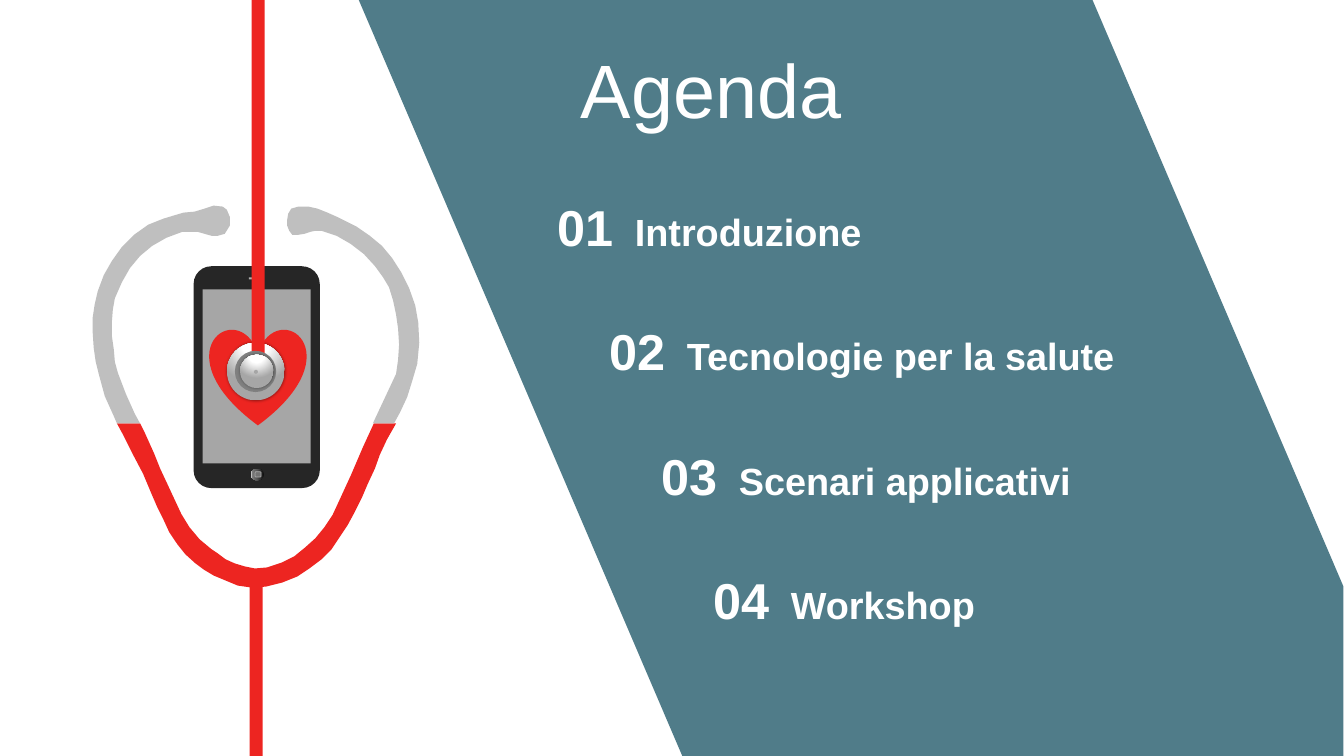
from lxml import etree
from pptx import Presentation
from pptx.dml.color import RGBColor
from pptx.enum.shapes import MSO_SHAPE
from pptx.enum.text import MSO_ANCHOR, MSO_AUTO_SIZE, PP_ALIGN
from pptx.oxml import parse_xml
from pptx.oxml.ns import nsdecls, qn
from pptx.util import Cm, Pt

RECT = MSO_SHAPE.RECTANGLE
ROUNDED = MSO_SHAPE.ROUNDED_RECTANGLE
ELLIPSE = MSO_SHAPE.OVAL
HEART = MSO_SHAPE.HEART
TOP, MIDDLE = MSO_ANCHOR.TOP, MSO_ANCHOR.MIDDLE
LEFT = PP_ALIGN.LEFT
NO_FIT = MSO_AUTO_SIZE.NONE

WHITE = RGBColor(0xFF, 0xFF, 0xFF)
BLACK = RGBColor(0x00, 0x00, 0x00)
TEAL = RGBColor(0x50, 0x7C, 0x89)
RED = RGBColor(0xED, 0x25, 0x21)
CASE = RGBColor(0x26, 0x26, 0x26)
COAL = RGBColor(0x0F, 0x0F, 0x0F)
DARK_GREY = RGBColor(0x59, 0x59, 0x59)
ICON_GREY = RGBColor(0x73, 0x73, 0x73)
RING_GREY = RGBColor(0x80, 0x80, 0x80)
SCREEN_GREY = RGBColor(0xA6, 0xA6, 0xA6)
SPEAKER_GREY = RGBColor(0xB0, 0xB0, 0xB0)
TUBE_GREY = RGBColor(0xBF, 0xBF, 0xBF)

FONT = "Arial"
OUTLINE_SCALE = Cm(2.54) / 100
AGENDA = ["Introduzione", "Tecnologie per la salute", "Scenari applicativi", "Workshop"]
INDENT_STEP = 1.31
NUMBER_WIDTH = 1.96

BAND = [(356, 0), (1084, 0), (1333, 582), (1333, 750), (677, 750)]
RED_TUBE = [
    (116, 420), (139, 420), (144, 430), (153, 450), (159, 465), (166, 480),
    (173, 495), (180, 510), (188, 523), (198, 535), (210, 545), (216, 549),
    (224, 555), (233, 559), (243, 562), (253, 564), (265, 563), (280, 558),
    (292, 552), (303, 543), (313, 534), (322, 523), (330, 511), (336, 498),
    (342, 485), (348, 472), (354, 458), (360, 444), (371, 420), (393, 420),
    (392, 422), (384, 436), (377, 451), (372, 465), (365, 480), (359, 494),
    (352, 508), (345, 521), (337, 533), (329, 545), (319, 555), (307, 564),
    (295, 572), (280, 578), (264, 582), (250, 583), (236, 581), (224, 576),
    (212, 571), (202, 565), (194, 559), (184, 550), (176, 540), (168, 528),
    (162, 515), (156, 503), (150, 489), (142, 470), (132, 451), (122, 431),
]
RIGHT_EARPIECE = [
    (296, 205), (306, 205), (315, 207), (325, 211), (334, 215), (342, 219),
    (354, 225), (367, 234), (379, 244), (389, 256), (398, 270), (406, 286),
    (412, 303), (415, 320), (416, 340), (414, 361), (409, 378), (404, 394),
    (397, 409), (391, 420), (370, 420), (393, 371), (395, 357), (396, 342),
    (395, 326), (393, 312), (390, 298), (386, 285), (380, 275), (372, 264),
    (361, 252), (348, 242), (334, 234), (319, 229), (313, 229), (308, 230),
    (302, 232), (296, 233), (290, 233), (287, 229), (285, 224), (285, 218),
    (286, 212), (289, 207),
]
LEFT_EARPIECE = [
    (212, 204), (221, 205), (225, 208), (228, 215), (228, 224), (223, 232),
    (216, 234), (210, 234), (203, 232), (196, 230), (189, 230), (181, 230),
    (165, 236), (151, 244), (139, 254), (129, 266), (121, 280), (114, 296),
    (112, 307), (111, 320), (111, 333), (113, 347), (114, 359), (117, 370),
    (125, 391), (134, 411), (139, 420), (116, 420), (113, 413), (104, 393),
    (98, 371), (95, 359), (93, 345), (92, 330), (92, 315), (94, 302),
    (97, 289), (103, 273), (111, 259), (121, 245), (133, 233), (147, 223),
    (162, 217), (172, 214), (182, 211), (193, 210), (203, 207),
]


def paint(shape, color):
    shape.shadow.inherit = False
    shape.fill.solid()
    shape.fill.fore_color.rgb = color
    shape.line.fill.background()
    return shape


def add_part(slide, kind, left, top, width, height, color):
    part = slide.shapes.add_shape(kind, Cm(left), Cm(top), Cm(width), Cm(height))
    return paint(part, color)


def add_outline(slide, color, *contours):
    first, *others = contours
    builder = slide.shapes.build_freeform(*first[0], scale=OUTLINE_SCALE)
    builder.add_line_segments(first[1:], close=True)
    for contour in others:
        builder.move_to(*contour[0])
        builder.add_line_segments(contour[1:], close=True)
    return paint(builder.convert_to_shape(), color)


def set_gradient(shape, stops, direction):
    stop_xml = "".join(
        f'<a:gs pos="{position * 1000}"><a:srgbClr val="{color}"/></a:gs>'
        for position, color in stops
    )
    properties = shape.element.spPr
    gradient = parse_xml(
        f'<a:gradFill {nsdecls("a")} rotWithShape="1">'
        f"<a:gsLst>{stop_xml}</a:gsLst>{direction}</a:gradFill>"
    )
    properties.replace(properties.find(qn("a:solidFill")), gradient)


def add_metal_disc(slide, left, top, size):
    disc = add_part(slide, ELLIPSE, left, top, size, size, WHITE)
    set_gradient(
        disc,
        [(0, WHITE), (35, WHITE), (100, SCREEN_GREY)],
        '<a:path path="circle"><a:fillToRect l="50000" t="-80000" r="50000" b="180000"/></a:path>',
    )
    effects = disc.element.spPr.find(qn("a:effectLst"))
    effects.append(parse_xml(
        f'<a:outerShdw {nsdecls("a")} blurRad="{Pt(2)}" dist="0" dir="0">'
        f'<a:srgbClr val="{BLACK}"><a:alpha val="40000"/></a:srgbClr></a:outerShdw>'
    ))


def add_phone(slide):
    case = add_part(slide, ROUNDED, 4.88, 6.71, 3.18, 5.59, CASE)
    case.adjustments[0] = 0.14
    add_part(slide, RECT, 6.27, 6.99, 0.33, 0.05, SPEAKER_GREY)
    home_button = add_part(slide, ELLIPSE, 6.32, 11.81, 0.33, 0.3, DARK_GREY)
    set_gradient(
        home_button,
        [(0, COAL), (56, DARK_GREY), (91, RING_GREY), (100, TUBE_GREY)],
        '<a:lin ang="10800000" scaled="0"/>',
    )
    home_icon = add_part(slide, ROUNDED, 6.43, 11.89, 0.15, 0.13, ICON_GREY)
    home_icon.line.color.rgb = SPEAKER_GREY
    home_icon.line.width = Pt(0.5)
    add_part(slide, RECT, 5.11, 7.29, 2.72, 4.39, SCREEN_GREY)
    add_part(slide, HEART, 5.28, 8.28, 2.44, 2.44, RED)


def add_stethoscope(slide):
    add_part(slide, RECT, 6.29, 14.49, 0.33, 4.56, RED)
    add_metal_disc(slide, 5.72, 8.64, 1.45)
    add_outline(slide, RED, RED_TUBE)
    add_outline(slide, TUBE_GREY, RIGHT_EARPIECE, LEFT_EARPIECE)
    add_part(slide, RECT, 6.34, 0, 0.33, 9.1, RED)
    add_part(slide, ELLIPSE, 5.92, 8.84, 1.04, 1.04, RING_GREY)
    add_metal_disc(slide, 6.05, 8.94, 0.84)
    add_part(slide, ELLIPSE, 6.4, 9.32, 0.1, 0.1, SCREEN_GREY)


def place_on_top(slide, placeholder, left, top, width, height, anchor):
    slide.shapes.element.append(placeholder.element)
    placeholder.left, placeholder.top = Cm(left), Cm(top)
    placeholder.width, placeholder.height = Cm(width), Cm(height)
    frame = placeholder.text_frame
    frame.word_wrap = True
    frame.auto_size = NO_FIT
    frame.vertical_anchor = anchor
    return frame


def add_text(paragraph, text, size, bold):
    run = paragraph.add_run()
    run.text = text
    run.font.name = FONT
    run.font.size = Pt(size)
    run.font.bold = bold
    run.font.color.rgb = WHITE


def write_title(slide):
    frame = place_on_top(slide, slide.shapes.title, 14.38, 0.94, 16.74, 2.57, MIDDLE)
    heading = frame.paragraphs[0]
    heading.alignment = LEFT
    add_text(heading, "Agenda", 54, False)


def write_agenda(slide):
    frame = place_on_top(slide, slide.placeholders[1], 14.04, 4.93, 18.1, 11.2, TOP)
    frame.margin_left = frame.margin_right = frame.margin_top = frame.margin_bottom = 0
    for index, topic in enumerate(AGENDA):
        item = frame.add_paragraph() if index else frame.paragraphs[0]
        properties = item._p.get_or_add_pPr()
        properties.set("marL", str(Cm(NUMBER_WIDTH + index * INDENT_STEP)))
        properties.set("indent", str(-Cm(NUMBER_WIDTH)))
        etree.SubElement(properties, qn("a:buNone"))
        item.alignment = LEFT
        item.line_spacing = 1.0
        item.space_before = Pt(45.75 if index else 0)
        item.space_after = Pt(0)
        add_text(item, f"{index + 1:02d}\t", 36, True)
        add_text(item, topic, 27, True)


def main():
    deck = Presentation()
    deck.slide_width, deck.slide_height = Cm(33.87), Cm(19.05)
    slide = deck.slides.add_slide(deck.slide_layouts[1])
    add_outline(slide, TEAL, BAND)
    add_phone(slide)
    add_stethoscope(slide)
    write_title(slide)
    write_agenda(slide)
    deck.save("out.pptx")


if __name__ == "__main__":
    main()
